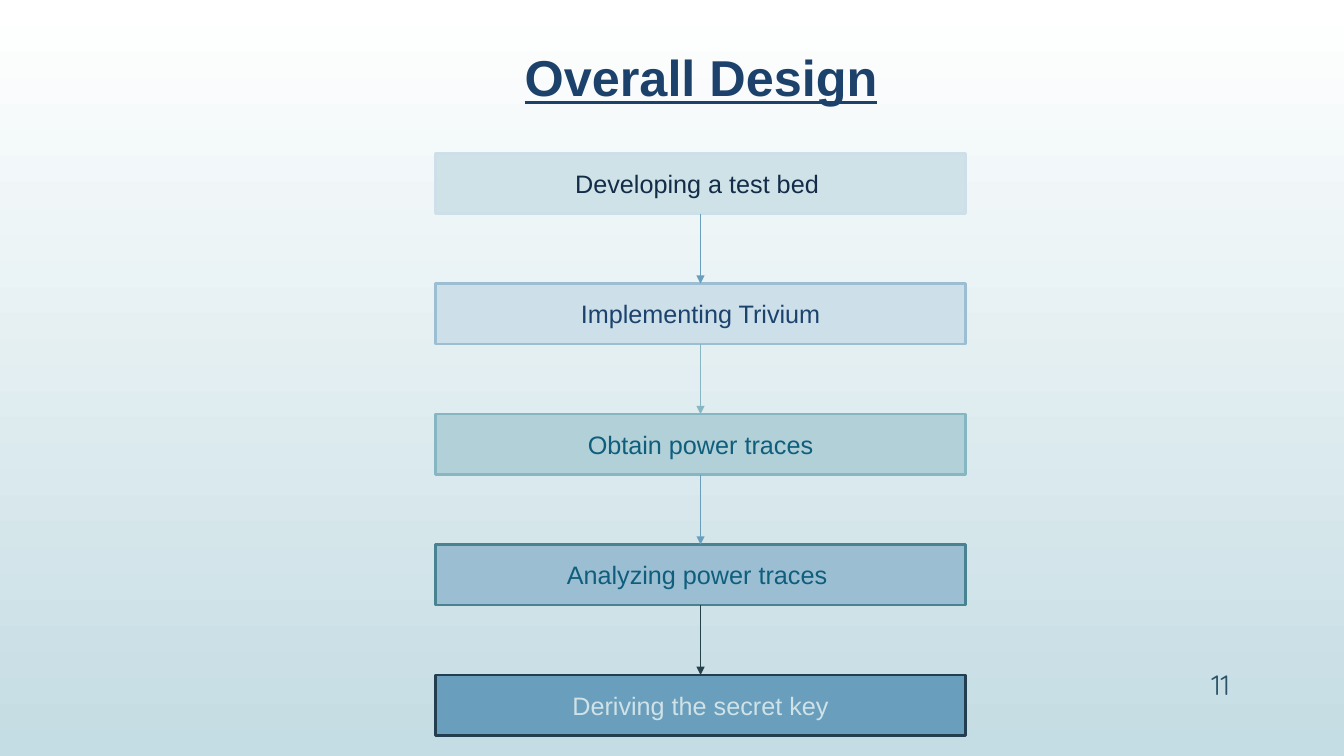
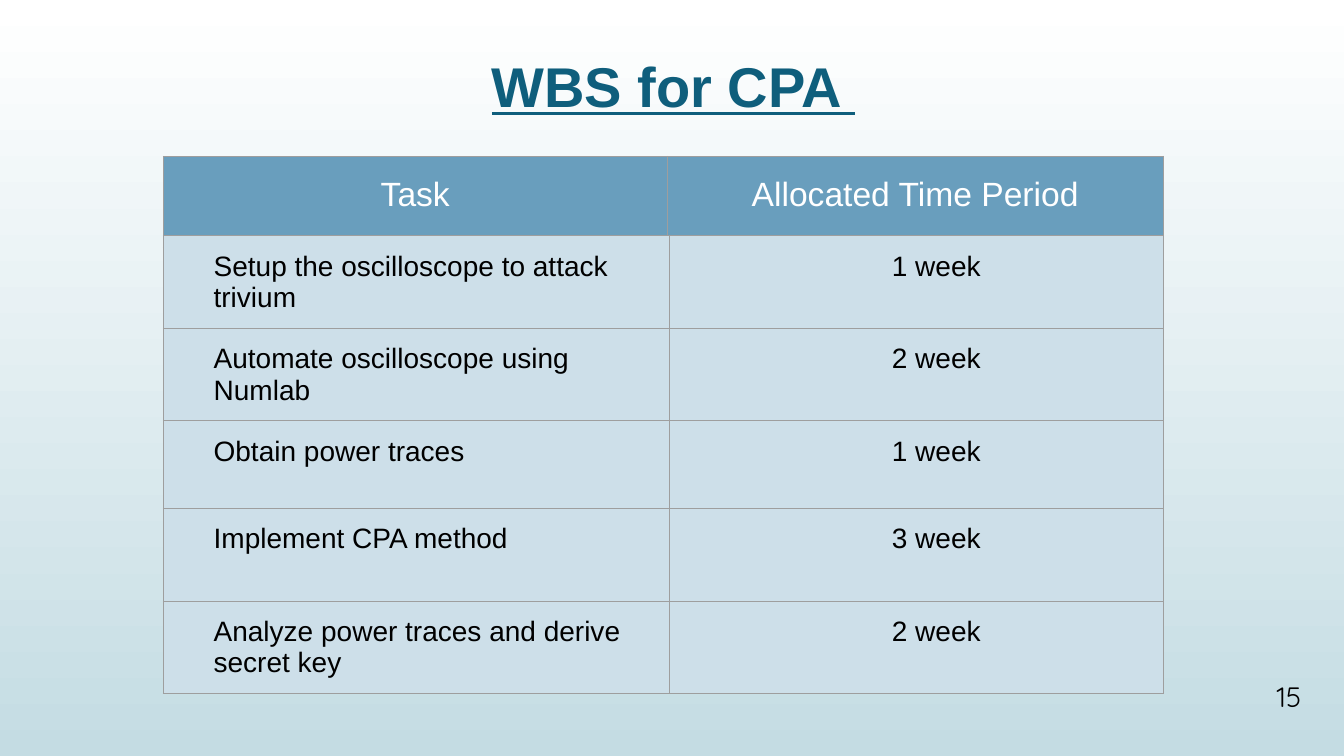
from lxml.etree import SubElement
from pptx import Presentation
from pptx.dml.color import RGBColor
from pptx.enum.shapes import MSO_CONNECTOR, MSO_SHAPE
from pptx.enum.text import MSO_ANCHOR, PP_ALIGN
from pptx.oxml.ns import qn
from pptx.util import Pt

FONT, NUMBER_FONT = "Arial", "Quicksand"
NAVY, TEAL, SLATE, BLACK, WHITE = "1C426C", "0F5E7C", "2E5369", "000000", "FFFFFF"
PALE, BLUE, GREY = "CDDFE9", "699EBD", "9E9E9E"
BACKGROUND = (WHITE, "C4DCE3")
LEFT, CENTER, RIGHT = PP_ALIGN.LEFT, PP_ALIGN.CENTER, PP_ALIGN.RIGHT


def rgb(value):
    return RGBColor.from_string(value)


def write(tf, text, size, color, align=CENTER, font=FONT):
    tf.word_wrap = True
    p = tf.paragraphs[0]
    p.text = text
    p.alignment = align
    r = p.runs[0]
    r.font.size = Pt(size)
    r.font.name = font
    r.font.color.rgb = rgb(color)
    return r


prs = Presentation()
prs.slide_width, prs.slide_height = Pt(960), Pt(540)

# Shared background on the master
fill = prs.slide_master.background.fill
fill.gradient()
fill.gradient_angle = 270
for stop, color, position in zip(fill.gradient_stops, BACKGROUND, (0, 1)):
    stop.color.rgb = rgb(color)
    stop.position = position

# Titles (text, left, top, height, size, colour, alignment)
# and page numbers (text, left, top, colour)
headings = [
    (("Overall Design", 149.8, 25.9, 100.8, 36, NAVY, CENTER),
     ("11", 824.4, 474.5, SLATE)),
    (("WBS for CPA ", 344.2, 29.5, 82, 40, TEAL, LEFT),
     ("15", 875.5, 483.1, BLACK)),
]
for title, number in headings:
    s = prs.slides.add_slide(prs.slide_layouts[6])

    text, left, top, height, size, color, align = title
    tf = s.shapes.add_textbox(Pt(left), Pt(top), Pt(702), Pt(height)).text_frame
    tf.margin_top = tf.margin_bottom = Pt(7.2)
    r = write(tf, text, size, color, align)
    r.font.bold = r.font.underline = True

    text, left, top, color = number
    tf = s.shapes.add_textbox(Pt(left), Pt(top), Pt(61.2), Pt(28.8)).text_frame
    tf.vertical_anchor = MSO_ANCHOR.MIDDLE
    write(tf, text, 20, color, RIGHT, NUMBER_FONT)

design, wbs = prs.slides

# Flow chart boxes: text, fill, line, text colour
steps = [
    ("Developing a test bed ", "CFE2E7", PALE, "132C48"),
    ("Implementing Trivium", PALE, "9BBED3", "1C436D"),
    ("Obtain power traces", "B2D0D8", "86B6C2", TEAL),
    ("Analyzing power traces ", "9BBED3", "498392", TEAL),
    ("Deriving the secret key", BLUE, "233E4F", "CFE2E7"),
]
boxes = []
for i, (text, back, line, color) in enumerate(steps):
    sp = design.shapes.add_shape(MSO_SHAPE.RECTANGLE, Pt(311), Pt(109.4 + 93.2 * i),
                                 Pt(378.8), Pt(43.2))
    sp.shadow.inherit = False
    sp.fill.solid()
    sp.fill.fore_color.rgb = rgb(back)
    sp.line.color.rgb = rgb(line)
    sp.line.width = Pt(2)
    sp.text_frame.vertical_anchor = MSO_ANCHOR.MIDDLE
    write(sp.text_frame, text, 18, color)
    boxes.append(sp)

# Arrows from each box to the next
for upper, lower, color in zip(boxes, boxes[1:], (BLUE, "86B6C2", BLUE, "254149")):
    arrow = design.shapes.add_connector(MSO_CONNECTOR.STRAIGHT, 0, 0, 0, 0)
    arrow.begin_connect(upper, 2)
    arrow.end_connect(lower, 0)
    arrow.line.color.rgb = rgb(color)
    arrow.line.width = Pt(0.75)
    sp_pr = arrow.element.spPr
    SubElement(sp_pr.find(qn("a:ln")), qn("a:tailEnd"), type="triangle")
    SubElement(sp_pr, qn("a:effectLst"))

# Header and body tables
tasks = [
    ("Setup the oscilloscope to attack trivium", "1 week"),
    ("Automate oscilloscope using Numlab", "2 week"),
    ("Obtain power traces", "1 week"),
    ("Implement CPA method", "3 week"),
    ("Analyze power traces and derive secret key", "2 week"),
]
# Rows, top, column widths, row heights, left, top and bottom margins,
# size, text colour, fill, alignments
tables = [
    ([("Task", "Allocated Time Period")], 111.6, (360, 354.2), [65.5],
     7.2, 14.4, 14.4, 24, WHITE, BLUE, (CENTER, CENTER)),
    (tasks, 168.5, (361.4, 352.8), [62.6, 65.5, 62.6, 66.2, 62.6],
     36, 10.8, 7.2, 20, BLACK, PALE, (LEFT, CENTER)),
]
for rows, top, widths, heights, side, above, below, size, color, back, aligns in tables:
    table = wbs.shapes.add_table(len(rows), 2, Pt(116.6), Pt(top),
                                 Pt(sum(widths)), Pt(sum(heights))).table
    table.first_row = table.horz_banding = False
    for column, width in zip(table.columns, widths):
        column.width = Pt(width)
    for row, height, texts in zip(table.rows, heights, rows):
        row.height = Pt(height)
        for cell, text, align in zip(row.cells, texts, aligns):
            cell.margin_left, cell.margin_right = Pt(side), Pt(7.2)
            cell.margin_top, cell.margin_bottom = Pt(above), Pt(below)
            write(cell.text_frame, text, size, color, align)
            tc_pr = cell._tc.get_or_add_tcPr()
            for edge in ("a:lnL", "a:lnR", "a:lnT", "a:lnB"):
                ln = SubElement(tc_pr, qn(edge), w=str(Pt(0.75)))
                SubElement(SubElement(ln, qn("a:solidFill")), qn("a:srgbClr"), val=GREY)
            cell.fill.solid()
            cell.fill.fore_color.rgb = rgb(back)

prs.save("out.pptx")
